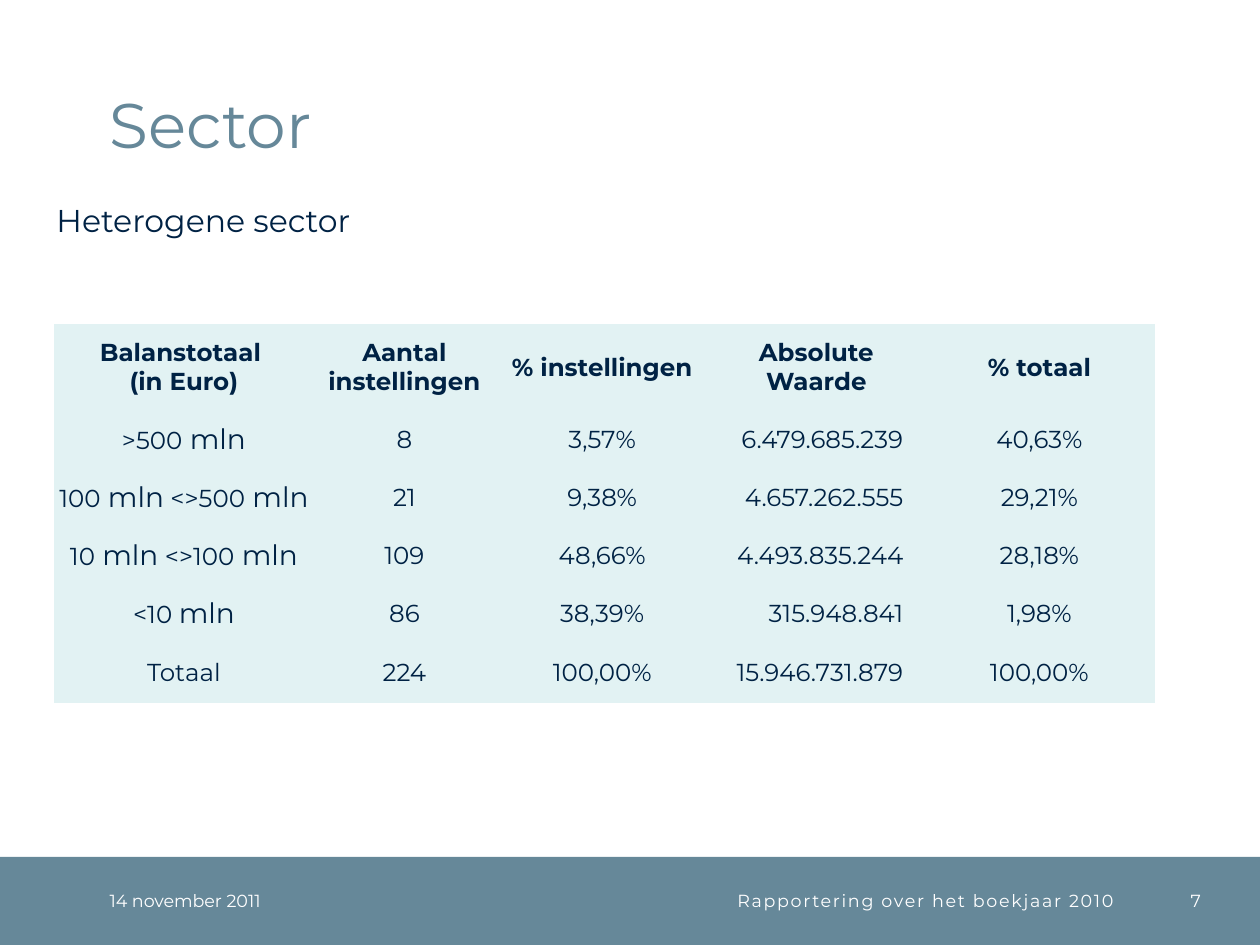
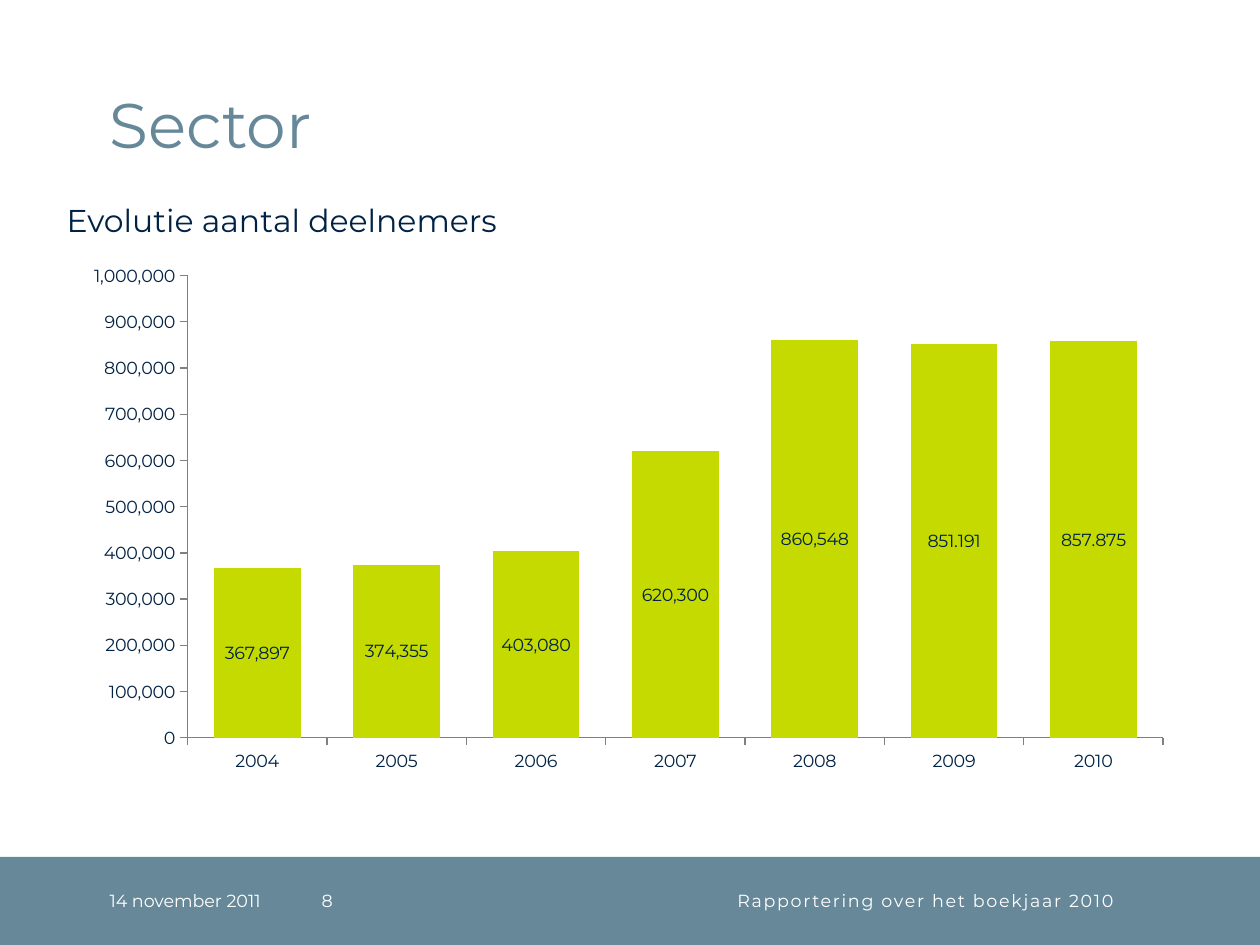
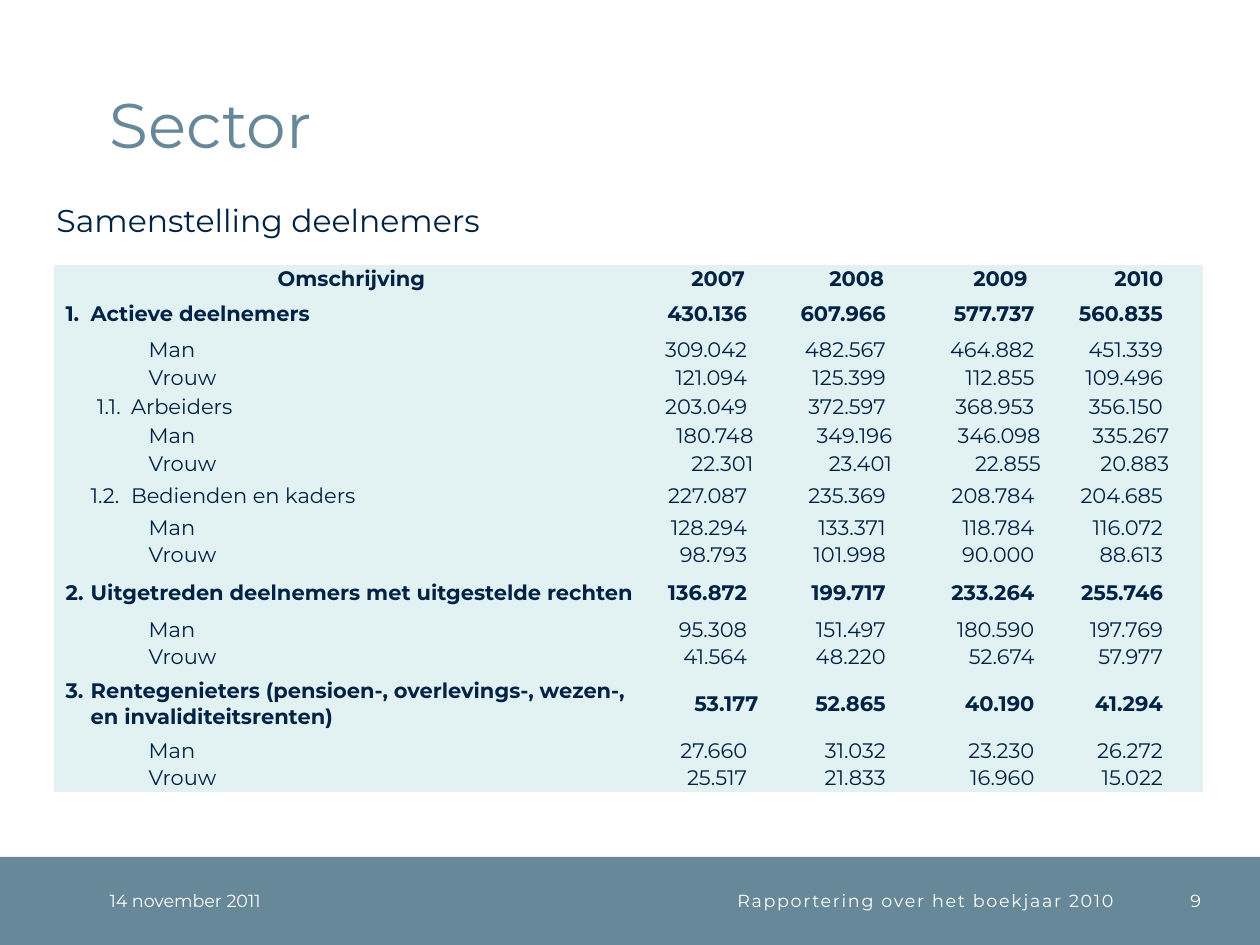
"""Build three slides on the pension sector: size classes, members over time, and member mix."""
from lxml import etree
from pptx import Presentation
from pptx import util as u
from pptx.chart import data as cd
from pptx.dml.color import RGBColor
from pptx.enum import chart as ch, shapes, text

SLATE = RGBColor(0x66, 0x88, 0x99)
NAVY = RGBColor(0x00, 0x22, 0x44)
WHITE = RGBColor(0xFF, 0xFF, 0xFF)
PALE = RGBColor(0xE2, 0xF2, 0xF3)
LIME = RGBColor(0xC5, 0xDA, 0x00)
GREY = RGBColor(0x80, 0x80, 0x80)
FONT = "Montserrat"
PLAIN = "{2D5ABB26-0587-4C30-8999-92F81FD0307C}"
LEFT, MID, RIGHT = text.PP_ALIGN.LEFT, text.PP_ALIGN.CENTER, text.PP_ALIGN.RIGHT


def style(frame, size, color, align=LEFT, bold=False):
    for par in frame.paragraphs:
        par.alignment = align
        for run in par.runs:
            run.font.name = FONT
            run.font.size = u.Pt(size)
            run.font.color.rgb = color
            run.font.bold = bold


def grid(slide, top, cols, highs, rows):
    frame = slide.shapes.add_table(len(rows), len(cols), u.Inches(0.43), u.Inches(top),
                                   u.Inches(sum(cols)), u.Inches(sum(highs)))
    table = frame.table
    table.first_row = table.horz_banding = False
    table._tbl.tblPr[0].text = PLAIN
    for col, wide in zip(table.columns, cols):
        col.width = u.Inches(wide)
    for row, high, words in zip(table.rows, highs, rows):
        row.height = u.Inches(high)
        for cell, word in zip(row.cells, words):
            cell.fill.solid()
            cell.fill.fore_color.rgb = PALE
            cell.margin_left = cell.margin_right = cell.margin_top = cell.margin_bottom = 0
            cell.vertical_anchor = text.MSO_ANCHOR.MIDDLE
            cell.text_frame.text = word
    return table


deck = Presentation()
deck.slide_width, deck.slide_height = u.Inches(10), u.Inches(7.5)
heads = [
    ("Heterogene sector", 0.35, 3.23, 9.04, 0.49),
    ("Evolutie aantal deelnemers", 0.43, 8.98, 0.87, 1.77),
    ("Samenstelling deelnemers", 0.35, 3.7, 9.04, 0.49),
]
slides = []
for page, (head, left, wide, num_x, num_w) in enumerate(heads, 7):
    slide = deck.slides.add_slide(deck.slide_layouts[5])
    slides.append(slide)
    band = slide.shapes.add_shape(shapes.MSO_SHAPE.RECTANGLE, 0, u.Inches(6.8),
                                  u.Inches(10), u.Inches(0.7))
    band.shadow.inherit = False
    band.fill.solid()
    band.fill.fore_color.rgb = SLATE
    band.line.fill.background()

    title = slide.shapes.title
    title.left, title.top = u.Inches(0.87), u.Inches(0.2)
    title.width, title.height = u.Inches(8.63), u.Inches(1.08)
    frame = title.text_frame
    frame.text = "Sector"
    frame.margin_left = frame.margin_right = frame.margin_top = frame.margin_bottom = 0
    frame.vertical_anchor = text.MSO_ANCHOR.BOTTOM
    frame.paragraphs[0].line_spacing = u.Pt(32)
    style(frame, 36, SLATE)

    box = slide.shapes.add_textbox(u.Inches(left), u.Inches(1.55), u.Inches(wide), u.Inches(0.4))
    box.text_frame.word_wrap = True
    box.text_frame.text = head
    style(box.text_frame, 18, NAVY)

    for word, x, w, align, gap in [
        ("14 november 2011", 0.87, 1.77, LEFT, 0),
        ("Rapportering over het boekjaar 2010", 2.64, 6.2, RIGHT, 100),
        (str(page), num_x, num_w, RIGHT, 0),
    ]:
        foot = slide.shapes.add_textbox(u.Inches(x), u.Inches(6.8), u.Inches(w), u.Inches(0.7))
        frame = foot.text_frame
        frame.word_wrap = True
        frame.margin_left = frame.margin_right = frame.margin_top = frame.margin_bottom = 0
        frame.vertical_anchor = text.MSO_ANCHOR.MIDDLE
        frame.text = word
        style(frame, 10, WHITE, align)
        if gap:
            frame.paragraphs[0].runs[0].font._element.set("spc", str(gap))

sizes = [
    ("Balanstotaal \n(in Euro)", "Aantal instellingen", "% instellingen", "Absolute Waarde", "% totaal"),
    (">500| mln", "8", "3,57%", "6.479.685.239", "40,63%"),
    ("100| mln| <>500| mln", "21", "9,38%", "4.657.262.555", "29,21%"),
    ("10| mln| <>100| mln", "109", "48,66%", "4.493.835.244", "28,18%"),
    ("<10 |mln", "86", "38,39%", "315.948.841", "1,98%"),
    ("Totaal", "224", "100,00%", "15.946.731.879", "100,00%"),
]
table = grid(slides[0], 2.57, [2.06, 1.44, 1.7, 1.7, 1.84], [0.69] + [0.46] * 4 + [0.48], sizes)
for r, row in enumerate(table.rows):
    for c, cell in enumerate(row.cells):
        frame = cell.text_frame
        if "|" in frame.text:
            par = frame.paragraphs[0]
            parts = frame.text.split("|")
            par.text = parts[0]
            for part in parts[1:]:
                par.add_run().text = part
        total = r > 0 and c == 3
        style(frame, 14, NAVY, RIGHT if total else MID, r == 0)
        if total:
            cell.margin_right = u.Inches(0.16)
        for run in frame.paragraphs[0].runs:
            if "mln" in run.text:
                run.font.size = u.Pt(16)

data = cd.CategoryChartData(number_format="#,##0")
data.categories = [str(year) for year in range(2004, 2011)]
data.add_series("Series 1", [367897, 374355, 403080, 620300, 860548, 851191, 857982])
chart = slides[1].shapes.add_chart(ch.XL_CHART_TYPE.COLUMN_STACKED, u.Inches(0.51), u.Inches(2.02),
                                   u.Inches(8.9), u.Inches(4.17), data).chart
chart.has_legend = chart.has_title = False
chart.font.name, chart.font.size = FONT, u.Pt(10)
chart.font.color.rgb = NAVY
for axis in (chart.category_axis, chart.value_axis):
    axis.has_major_gridlines = False
    axis.major_tick_mark = ch.XL_TICK_MARK.OUTSIDE
    axis.format.line.color.rgb = GREY
axis.minimum_scale, axis.maximum_scale, axis.major_unit = 0, 1000000, 100000
axis.tick_labels.number_format = "#,##0"
axis.tick_labels.number_format_is_linked = False
plot = chart.plots[0]
plot.gap_width, plot.overlap, plot.vary_by_categories = 61, 100, False
bars = plot.series[0]
bars.format.fill.solid()
bars.format.fill.fore_color.rgb = LIME
labels = bars.data_labels
labels.show_value = True
labels.number_format, labels.number_format_is_linked = "#,##0", False
labels.position = ch.XL_LABEL_POSITION.CENTER
for spot, word in [(5, "851.191"), (6, "857.875")]:
    label = bars.points[spot].data_label
    label.text_frame.text = word
    label.position = ch.XL_LABEL_POSITION.CENTER
    style(label.text_frame, 10, NAVY, MID)
area = chart._chartSpace.chart.plotArea
for old in area.xpath("c:layout"):
    area.remove(old)
ns = "{http://schemas.openxmlformats.org/drawingml/2006/chart}"
lay = etree.Element(ns + "layout")
area.insert(0, lay)
man = etree.SubElement(lay, ns + "manualLayout")
for tag, val in [("layoutTarget", "inner"), ("xMode", "edge"), ("yMode", "edge"),
                 ("x", 0.11), ("y", 0.04), ("w", 0.87), ("h", 0.88)]:
    etree.SubElement(man, ns + tag).set("val", str(val))

mix = [
    ("Omschrijving", "2007", "2008", "2009", "2010"),
    ("1.\tActieve deelnemers", "430.136", "607.966", "577.737", "560.835"),
    ("Man", "309.042", "482.567", "464.882", "451.339"),
    ("Vrouw", "121.094", "125.399", "112.855", "109.496"),
    ("1.1.\tArbeiders", "203.049", "372.597", "368.953", "356.150"),
    ("Man", "180.748", "349.196", "346.098", "335.267"),
    ("Vrouw", "22.301", "23.401", "22.855", "20.883"),
    ("1.2.\tBedienden en kaders", "227.087", "235.369", "208.784", "204.685"),
    ("Man", "128.294", "133.371", "118.784", "116.072"),
    ("Vrouw", "98.793", "101.998", "90.000", "88.613"),
    ("2.\tUitgetreden deelnemers met uitgestelde rechten", "136.872", "199.717", "233.264", "255.746"),
    ("Man", "95.308", "151.497", "180.590", "197.769"),
    ("Vrouw", "41.564", "48.220", "52.674", "57.977"),
    ("3.\tRentegenieters (pensioen-, overlevings-, wezen-, en invaliditeitsrenten)",
     "53.177", "52.865", "40.190", "41.294"),
    ("Man", "27.660", "31.032", "23.230", "26.272"),
    ("Vrouw", "25.517", "21.833", "16.960", "15.022"),
]
tall = {1: 0.35, 4: 0.24, 7: 0.29, 10: 0.37, 13: 0.52}
indents = {"Man": (0.75, 0), "Vrouw": (0.75, 0), "1.1.": (0.61, -0.27), "1.2.": (0.61, -0.32)}
table = grid(slides[2], 2.1, [4.72, 1.1, 1.1, 1.18, 1.02],
             [tall.get(r, 0.22) for r in range(len(mix))], mix)
for r, row in enumerate(table.rows):
    mark = mix[r][0].split("\t")[0]
    for c, cell in enumerate(row.cells):
        align = MID if r == 0 else RIGHT if c else LEFT
        style(cell.text_frame, 12, NAVY, align, r == 0 or mark in ("1.", "2.", "3."))
        if r and c:
            pad = 0.23 if (r, c) == (13, 1) else 0.27 if r in (5, 6) else 0.32
            cell.margin_right = u.Inches(pad)
        elif r:
            left, hang = indents.get(mark, (0.29, -0.2))
            props = cell.text_frame.paragraphs[0]._p.get_or_add_pPr()
            props.set("marL", str(u.Inches(left)))
            props.set("indent", str(u.Inches(hang)))

deck.save("out.pptx")
